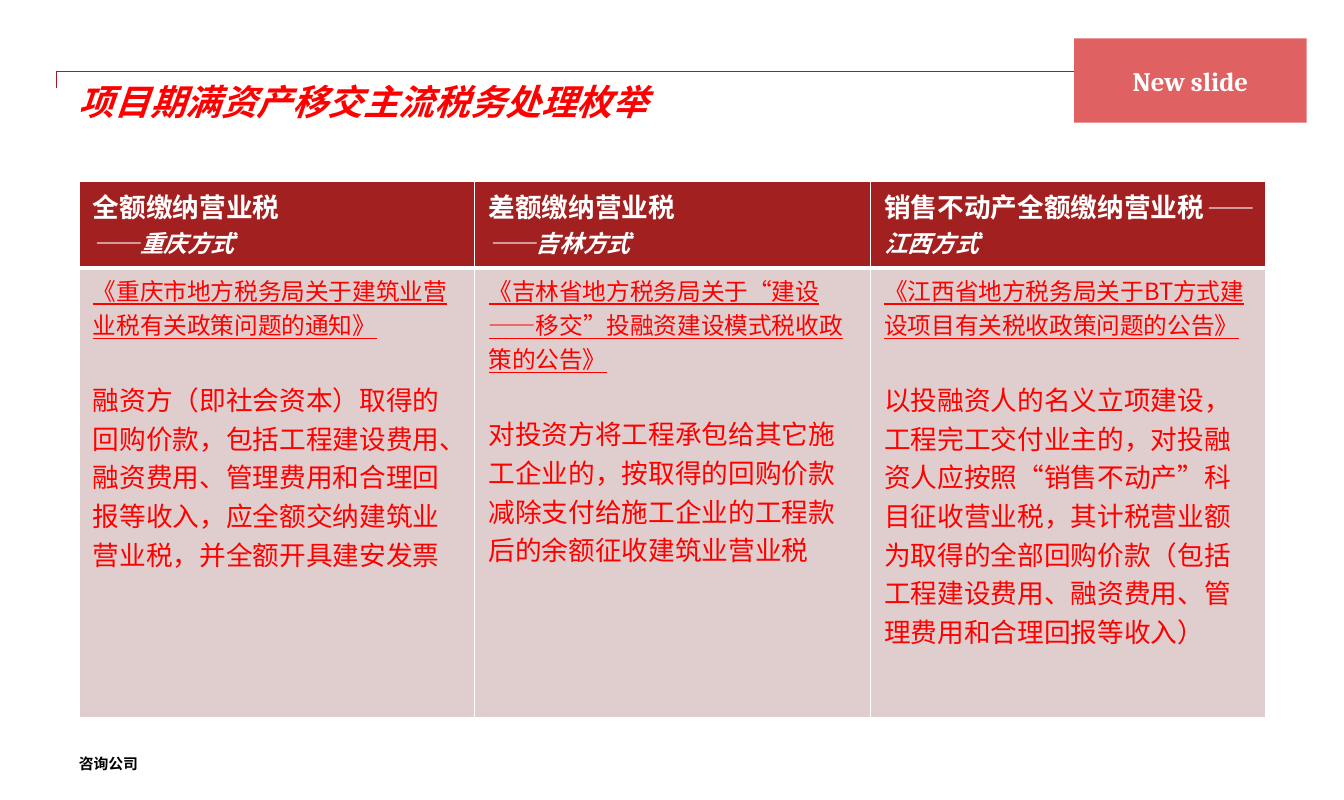
from lxml import etree
from pptx import Presentation
from pptx.dml.color import RGBColor
from pptx.enum import shapes, text
from pptx.oxml import ns
from pptx.util import Inches, Pt

DARK_RED = RGBColor(0xA3, 0x20, 0x20)
CORAL = RGBColor(0xE0, 0x61, 0x61)
PALE_RED = RGBColor(0xE0, 0xCD, 0xCD)
RED = RGBColor(0xFF, 0, 0)
WHITE = RGBColor(0xFF, 0xFF, 0xFF)
BLACK = RGBColor(0, 0, 0)

CJK = "Noto Sans CJK SC"
HEADING = dict(size=Pt(18), bold=True, italic=False)
REGION = dict(size=Pt(16), bold=True, italic=True)
RULING = dict(size=Pt(16), bold=False, underline=True)
DETAIL = dict(size=Pt(18), bold=False, underline=False)

# Each header is a list of paragraphs, each paragraph a list of (text, format)
HEADERS = [
    [[("全额缴纳营业税", HEADING)], [("——重庆方式", REGION)]],
    [[("差额缴纳营业税", HEADING)], [("——吉林方式", REGION)]],
    [[("销售不动产全额缴纳营业税", HEADING), ("——江西方式", REGION)]],
]
RULES = [
    ("《重庆市地方税务局关于建筑业营业税有关政策问题的通知》",
     "融资方（即社会资本）取得的回购价款，包括工程建设费用、融资费用、管理费用和合理回报等收入，"
     "应全额交纳建筑业营业税，并全额开具建安发票"),
    ("《吉林省地方税务局关于“建设——移交”投融资建设模式税收政策的公告》",
     "对投资方将工程承包给其它施工企业的，按取得的回购价款减除支付给施工企业的工程款后的余额"
     "征收建筑业营业税"),
    ("《江西省地方税务局关于BT方式建设项目有关税收政策问题的公告》",
     "以投融资人的名义立项建设，工程完工交付业主的，对投融资人应按照“销售不动产”科目征收营业税，"
     "其计税营业额为取得的全部回购价款（包括工程建设费用、融资费用、管理费用和合理回报等收入）"),
]


def add_run(p, words, color, font=CJK, **formats):
    r = p.add_run()
    r.text = words
    r.font.name = font
    r.font.color.rgb = color
    for name, value in formats.items():
        setattr(r.font, name, value)
    etree.SubElement(r.font._element, ns.qn("a:ea"), typeface=CJK)


def set_frame(tf, inset=0, **formats):
    for side in ("left", "top", "right", "bottom"):
        setattr(tf, f"margin_{side}", Inches(inset))
    for name, value in formats.items():
        setattr(tf, name, value)


def add_title(slide, words):
    sp = slide.shapes.title
    sp.left, sp.top, sp.width, sp.height = map(Inches, (0.74, 0.75, 11.13, 0.48))
    set_frame(sp.text_frame, word_wrap=True, vertical_anchor=text.MSO_ANCHOR.TOP,
              auto_size=text.MSO_AUTO_SIZE.NONE)
    p = sp.text_frame.paragraphs[0]
    p.alignment = text.PP_ALIGN.LEFT
    add_run(p, words, RED, "Cambria", size=Pt(24), bold=True, italic=True)


def add_title_rule(slide):
    builder = slide.shapes.build_freeform(Inches(0.53), Inches(0.83))
    builder.add_line_segments([(Inches(0.53), Inches(0.67)),
                               (Inches(11.87), Inches(0.67))], close=False)
    sp = builder.convert_to_shape()
    sp.shadow.inherit = False
    sp.fill.background()
    sp.line.color.rgb = DARK_RED
    sp.line.width = Pt(1)


def add_badge(slide, words):
    sp = slide.shapes.add_shape(shapes.MSO_SHAPE.RECTANGLE, Inches(10.07), Inches(0.36),
                                Inches(2.18), Inches(0.79))
    sp.shadow.inherit = False
    sp.fill.solid()
    sp.fill.fore_color.rgb = CORAL
    sp.line.fill.background()
    set_frame(sp.text_frame, 0.05, word_wrap=False, vertical_anchor=text.MSO_ANCHOR.MIDDLE)
    p = sp.text_frame.paragraphs[0]
    p.alignment = text.PP_ALIGN.CENTER
    add_run(p, words, WHITE, "Cambria", size=Pt(18), bold=True)


def add_footer(slide, words):
    sp = slide.shapes.add_textbox(Inches(0.74), Inches(7.08), Inches(3.57), Inches(0.17))
    set_frame(sp.text_frame, word_wrap=True)
    add_run(sp.text_frame.paragraphs[0], words, BLACK, "Arial", size=Pt(10), bold=True)


def fill_cell(cell, paragraphs, color, fill, borders):
    """Write the paragraphs; borders maps each of L, R, T and B to a width in points."""
    cell.margin_left = cell.margin_right = Inches(0.13)
    cell.margin_top = cell.margin_bottom = Inches(0.05)
    tf = cell.text_frame
    for i, runs in enumerate(paragraphs):
        p = tf.add_paragraph() if i else tf.paragraphs[0]
        for words, formats in runs:
            add_run(p, words, color, **formats)
    tcPr = cell._tc.get_or_add_tcPr()
    for side, width in borders.items():
        ln = etree.SubElement(tcPr, ns.qn(f"a:ln{side}"), w=str(Pt(width)))
        solid = etree.SubElement(ln, ns.qn("a:solidFill"))
        etree.SubElement(solid, ns.qn("a:srgbClr"), val=str(WHITE))
    cell.fill.solid()
    cell.fill.fore_color.rgb = fill


def add_tax_table(slide):
    table = slide.shapes.add_table(2, len(HEADERS), Inches(0.74), Inches(1.7),
                                   Inches(11.13), Inches(5.03)).table
    table.horz_banding = False
    table.rows[0].height = Inches(0.81)
    table.rows[1].height = Inches(4.22)
    for col, (header, (ruling, detail)) in enumerate(zip(HEADERS, RULES)):
        table.columns[col].width = Inches(3.71)
        fill_cell(table.cell(0, col), header, WHITE, DARK_RED, dict(L=1, R=1, T=1, B=3))
        body = table.cell(1, col)
        fill_cell(body, [[(ruling, RULING)], [(detail, DETAIL)]], RED, PALE_RED,
                  dict(L=1, R=1, T=3, B=1))
        body.text_frame.paragraphs[1].space_before = Pt(26)


def main():
    prs = Presentation()
    prs.slide_width, prs.slide_height = Inches(12.6), Inches(7.5)
    slide = prs.slides.add_slide(prs.slide_layouts[5])
    add_footer(slide, "咨询公司")
    add_title_rule(slide)
    add_title(slide, "项目期满资产移交主流税务处理枚举")
    add_tax_table(slide)
    add_badge(slide, "New slide")
    prs.save("out.pptx")


if __name__ == "__main__":
    main()
